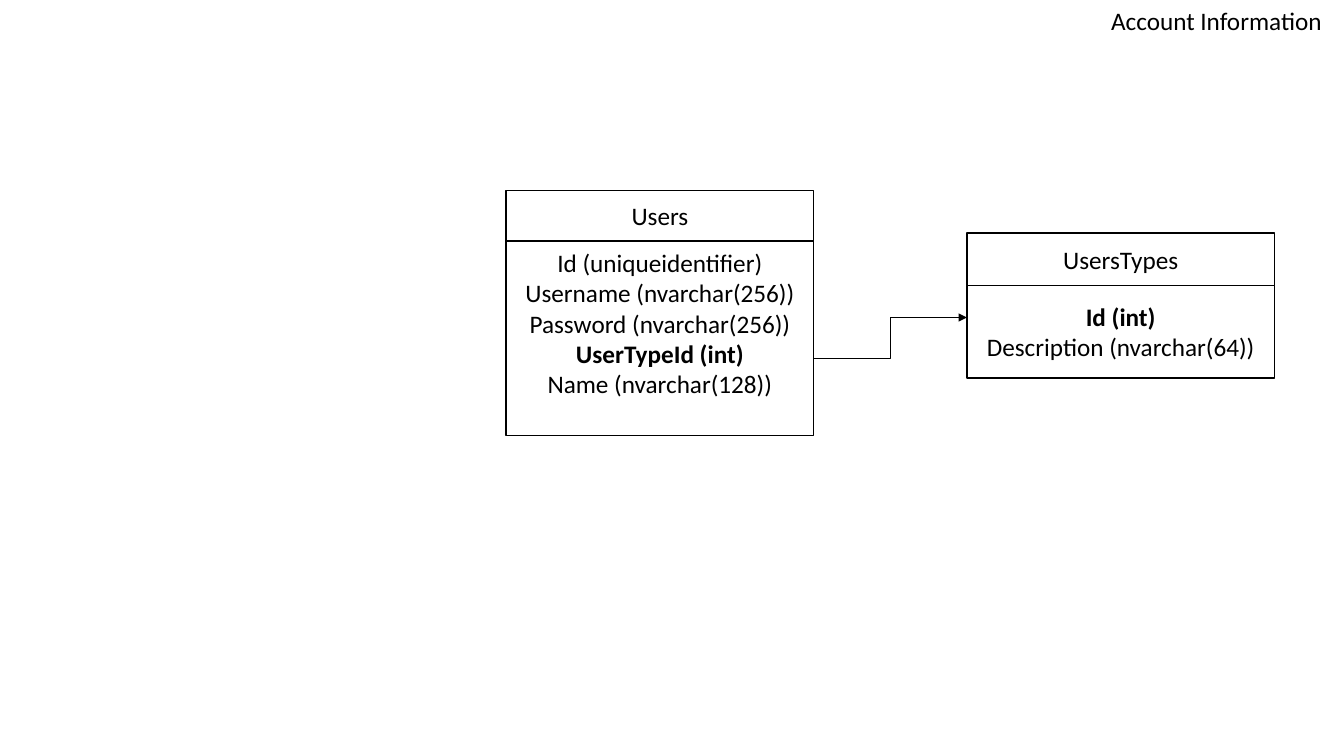
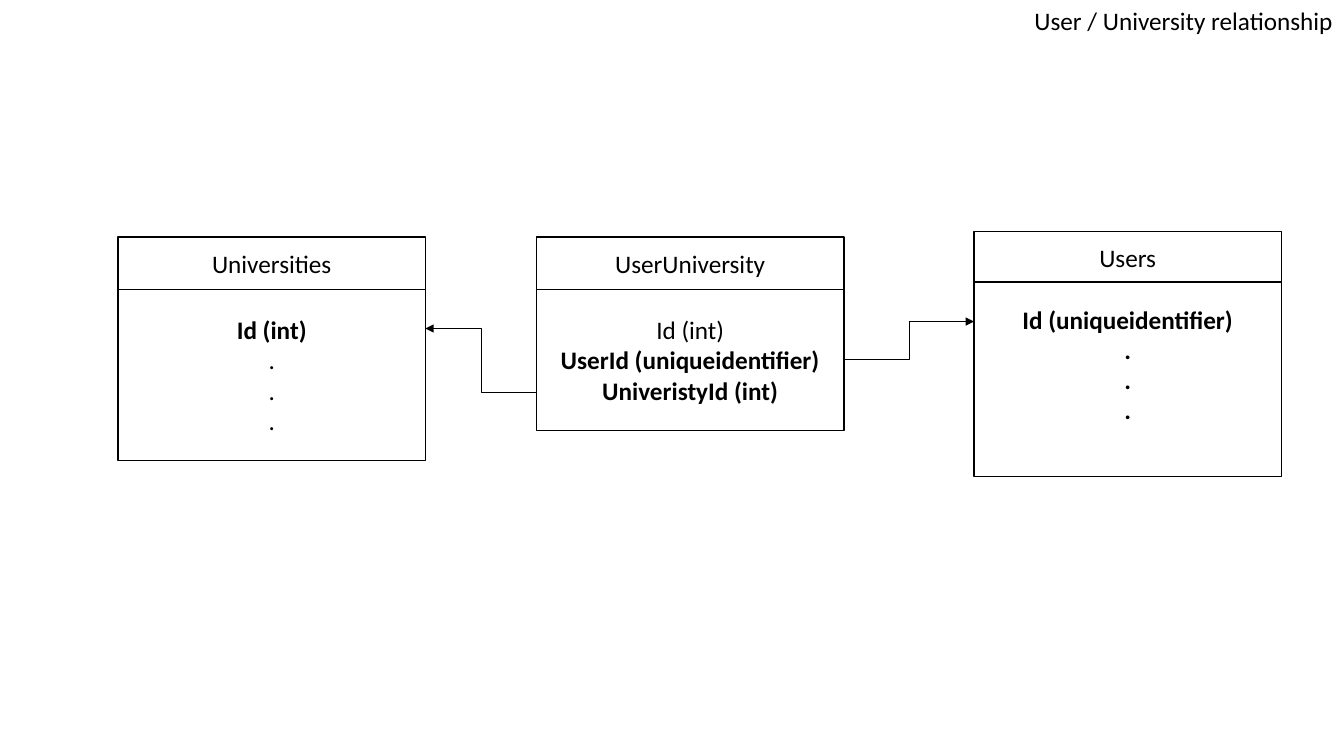
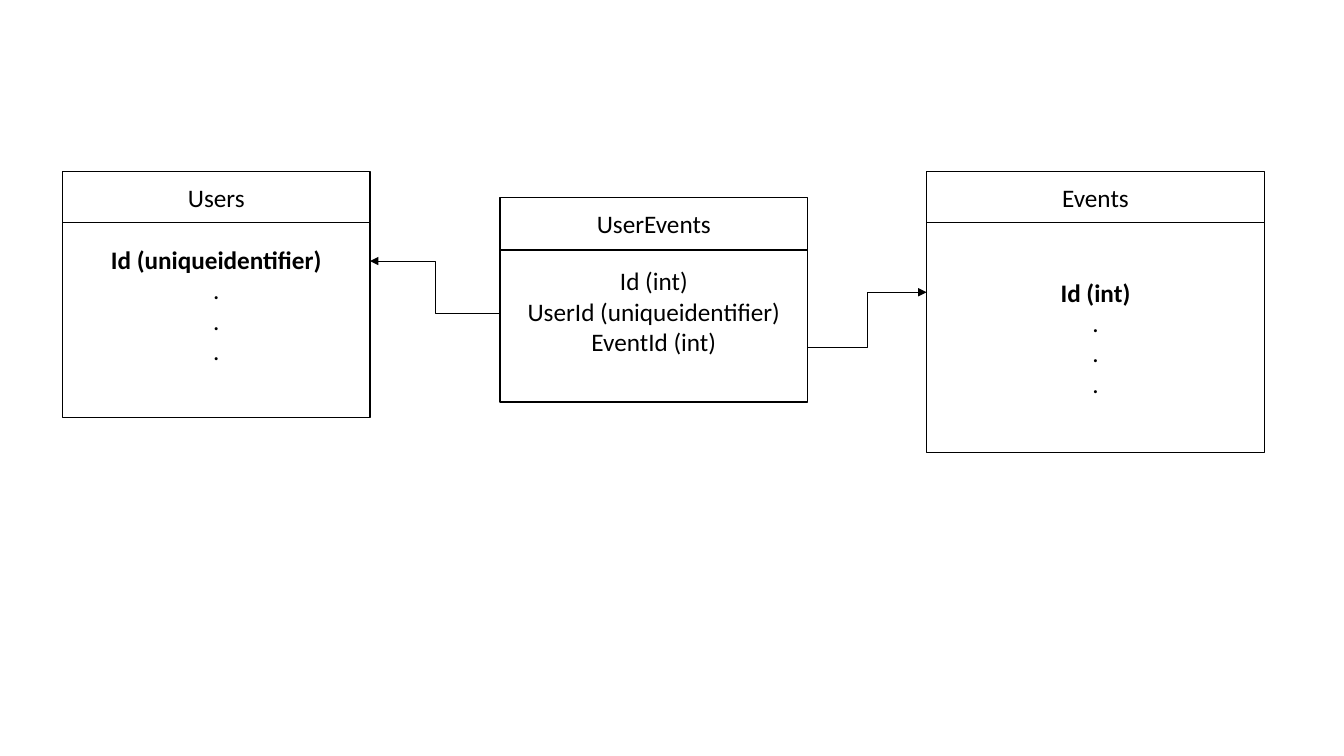
from dataclasses import dataclass

from lxml import etree
from pptx import Presentation
from pptx.dml.color import RGBColor
from pptx.enum.shapes import MSO_CONNECTOR, MSO_SHAPE
from pptx.enum.text import MSO_ANCHOR, MSO_AUTO_SIZE, PP_ALIGN
from pptx.oxml.ns import qn
from pptx.util import Inches, Pt

RECTANGLE = MSO_SHAPE.RECTANGLE
ELBOW = MSO_CONNECTOR.ELBOW
LEFT, CENTER = PP_ALIGN.LEFT, PP_ALIGN.CENTER
TOP, MIDDLE = MSO_ANCHOR.TOP, MSO_ANCHOR.MIDDLE
FIXED = MSO_AUTO_SIZE.NONE

BLACK, WHITE = "000000", "FFFFFF"
FONT = {"name": "Calibri", "size": Pt(18)}
TITLE_FRAME = {
    "word_wrap": True, "auto_size": FIXED, "vertical_anchor": TOP,
    "margin_left": Inches(0.1), "margin_right": 0,
    "margin_top": Inches(0.05), "margin_bottom": Inches(0.05),
}
CELL_FRAME = {"word_wrap": True, "vertical_anchor": MIDDLE}
SLIDE_WIDTH, SLIDE_HEIGHT = 13.33, 7.5
TITLE_HEIGHT = 0.4
TABLE_WIDTH = 3.05
LINE_HEIGHT = 0.3
TITLE_ONLY, BLANK = 5, 6
DOTS = [(".", False)] * 3
BOLD_DOTS = [(".", True)] * 3
USER_KEY = ("Id (uniqueidentifier)", True)
KEY = ("Id (int)", True)


@dataclass
class Entity:
    name: str
    fields: list
    left: float
    top: float
    body_height: float
    header_height: float = 0.52
    width: float = TABLE_WIDTH
    spare_lines: int = 0

    @property
    def right(self):
        return self.left + self.width


def color(value):
    return RGBColor.from_string(value)


def apply(target, values):
    for name, value in values.items():
        setattr(target, name, value)


def write(frame, lines, alignment):
    for index, (text, bold) in enumerate(lines):
        para = frame.add_paragraph() if index else frame.paragraphs[0]
        para.alignment = alignment
        span = para.add_run()
        span.text = text
        apply(span.font, {**FONT, "bold": bold})
        span.font.color.rgb = color(BLACK)


def add_title(slide, text, left):
    title = slide.shapes.title
    box = {"left": left, "top": 0, "width": SLIDE_WIDTH - left, "height": TITLE_HEIGHT}
    apply(title, {name: Inches(length) for name, length in box.items()})
    apply(title.text_frame, TITLE_FRAME)
    write(title.text_frame, [(text, False)], LEFT)


def add_cell(slide, box, lines, spare_lines=0):
    cell = slide.shapes.add_shape(RECTANGLE, *map(Inches, box))
    cell.shadow.inherit = False
    cell.fill.solid()
    cell.fill.fore_color.rgb = color(WHITE)
    cell.line.color.rgb = color(BLACK)
    cell.line.width = Pt(1)
    apply(cell.text_frame, CELL_FRAME)
    cell.text_frame.margin_bottom = Inches(0.05 + spare_lines * LINE_HEIGHT)
    write(cell.text_frame, lines, CENTER)


def add_entity(slide, entity):
    left, top, width = entity.left, entity.top, entity.width
    header = entity.header_height
    add_cell(slide, (left, top, width, header), [(entity.name, False)])
    body = (left, top + header, width, entity.body_height)
    add_cell(slide, body, entity.fields, entity.spare_lines)


def add_relation(slide, source, target, start, end):
    if source.left < target.left:
        edges = source.right, target.left
    else:
        edges = source.left, target.right
    points = edges[0], start, edges[1], end
    arrow = slide.shapes.add_connector(ELBOW, *map(Inches, points))
    arrow.line.color.rgb = color(BLACK)
    arrow.line.width = Pt(0.5)
    properties = arrow.element.spPr
    outline = properties.find(qn("a:ln"))
    etree.SubElement(outline, qn("a:tailEnd"), type="triangle")
    etree.SubElement(properties, qn("a:effectLst"))


def add_diagram(deck, entities, relations, title=None, title_left=0):
    slide = deck.slides.add_slide(deck.slide_layouts[TITLE_ONLY if title else BLANK])
    if title:
        add_title(slide, title, title_left)
    for entity in entities:
        add_entity(slide, entity)
    for relation in relations:
        add_relation(slide, *relation)


def account_slide(deck):
    fields = [
        ("Id (uniqueidentifier)", False),
        ("Username (nvarchar(256))", False),
        ("Password (nvarchar(256))", False),
        ("UserTypeId (int)", True),
        ("Name (nvarchar(128))", False),
    ]
    users = Entity("Users", fields, 5.02, 1.89, 1.93, 0.5, spare_lines=1)
    types = Entity("UsersTypes", [KEY, ("Description (nvarchar(64))", False)],
                   9.59, 2.31, 0.92)
    add_diagram(deck, [users, types], [(users, types, 3.56, 3.15)],
                "Account Information", 10.92)


def university_slide(deck):
    fields = [
        ("Id (int)", False),
        ("UserId (uniqueidentifier)", True),
        ("UniveristyId (int)", True),
    ]
    membership = Entity("UserUniversity", fields, 5.32, 2.35, 1.4)
    universities = Entity("Universities", [KEY, *DOTS], 1.17, 2.35, 1.7)
    users = Entity("Users", [USER_KEY, *BOLD_DOTS], 9.66, 2.3, 1.93, 0.5, spare_lines=1)
    relations = [(membership, users, 3.57, 3.19), (membership, universities, 3.89, 3.26)]
    add_diagram(deck, [membership, universities, users], relations,
                "User / University relationship", 10.16)


def event_slide(deck):
    fields = [
        ("Id (int)", False),
        ("UserId (uniqueidentifier)", False),
        ("EventId (int)", False),
    ]
    attendance = Entity("UserEvents", fields, 4.96, 1.96, 1.51, spare_lines=1)
    events = Entity("Events", [KEY, *DOTS], 9.19, 1.7, 2.28, 0.51, 3.35)
    users = Entity("Users", [USER_KEY, *DOTS], 0.62, 1.7, 1.93, 0.51, spare_lines=1)
    relations = [(attendance, users, 3.11, 2.59), (attendance, events, 3.45, 2.9)]
    add_diagram(deck, [attendance, events, users], relations)


deck = Presentation()
deck.slide_width = Inches(SLIDE_WIDTH)
deck.slide_height = Inches(SLIDE_HEIGHT)
account_slide(deck)
university_slide(deck)
event_slide(deck)
deck.save("out.pptx")
